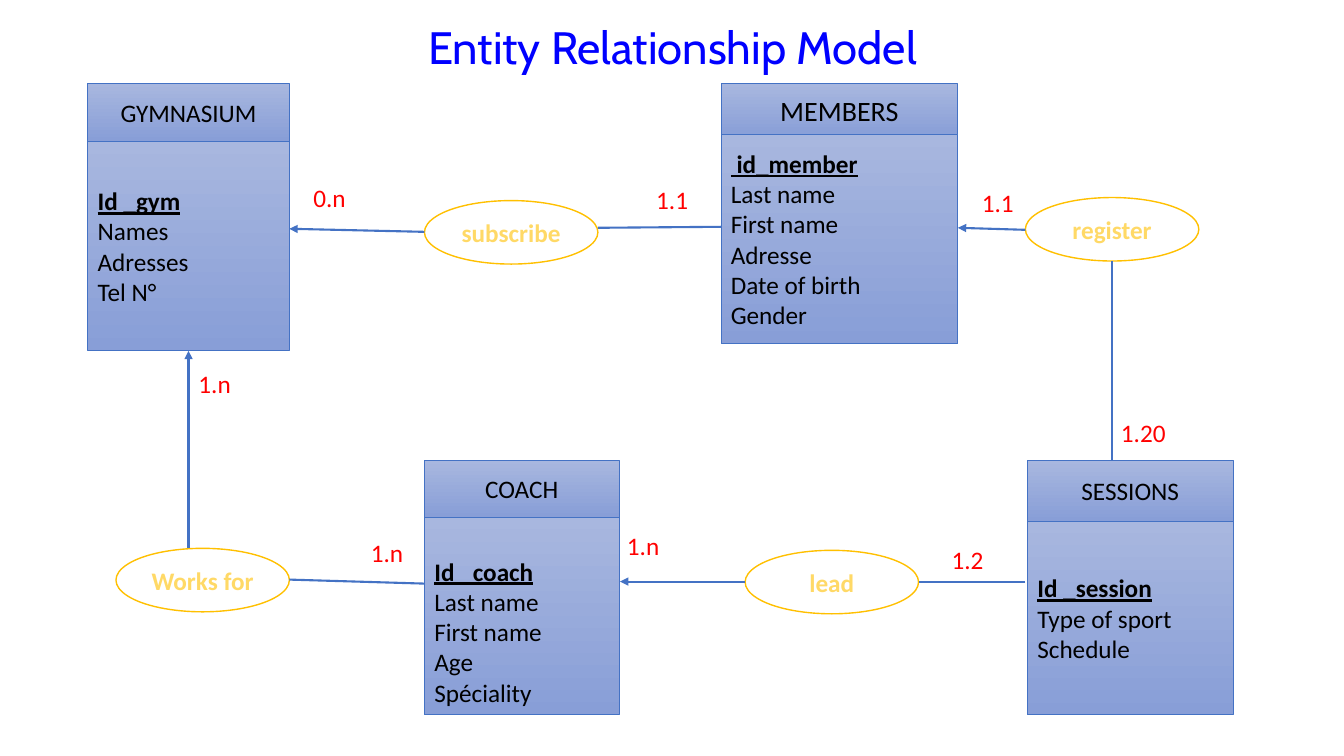
"""Build the gym entity relationship diagram slide."""
from lxml.etree import SubElement
from pptx import Presentation
from pptx.dml.color import RGBColor
from pptx.enum.shapes import MSO_CONNECTOR as CONN, MSO_SHAPE as SHAPE
from pptx.enum.text import MSO_ANCHOR as ANCHOR, MSO_AUTO_SIZE as FIT, PP_ALIGN as ALIGN
from pptx.oxml.ns import qn
from pptx.util import Pt

PX = 9144
BLUE = RGBColor(0x44, 0x72, 0xC4)
TOP_BLUE = RGBColor(0xA8, 0xB7, 0xDF)
BOTTOM_BLUE = RGBColor(0x88, 0x9E, 0xD7)
TITLE_BLUE = RGBColor(0x00, 0x00, 0xFF)
GOLD = RGBColor(0xFF, 0xC0, 0x00)
PALE_GOLD = RGBColor(0xFF, 0xD9, 0x66)
RED = RGBColor(0xFF, 0x00, 0x00)
WHITE = RGBColor(0xFF, 0xFF, 0xFF)
BLACK = RGBColor(0x00, 0x00, 0x00)

ENTITIES = [
    ("GYMNASIUM", 18, (87, 83, 200, 57), (140, 208), 5,
     ["Id _gym", "Names", "Adresses", "Tel N°"]),
    ("MEMBERS", 20, (715, 83, 235, 53), (133, 208), 5,
     [" id_member", "Last name", "First name", "Adresse", "Date of birth", "Gender"]),
    ("COACH", 18, (421, 457, 193, 56), (513, 196), 36,
     ["Id _coach", "Last name", "First name", "Age", "Spéciality"]),
    ("SESSIONS", 18, (1019, 457, 204, 60), (517, 192), 5,
     ["Id _session", "Type of sport", "Schedule"]),
]
RELATIONS = [("subscribe", 421, 199), ("Works for", 115, 544),
             ("register", 1017, 196), ("lead", 739, 546)]
ARROWS = [(421, 230, 287, 227), (1017, 228, 950, 226), (739, 577, 615, 577)]
LINES = [(593, 226, 715, 225), (1103, 259, 1103, 457),
         (1017, 577, 911, 577), (287, 575, 421, 579)]
CARDINALITIES = [("0.n", 301, 176, 60), ("1.1", 641, 178, 60), ("1.1", 964, 181, 60),
                 ("1.2", 934, 535, 60), ("1.n", 612, 521, 60), ("1.n", 358, 528, 60),
                 ("1.n", 187, 361, 60), ("1.20", 1102, 409, 86)]


def emu(*lengths):
    """Turn px lengths into EMU."""
    return [n * PX for n in lengths]


def add_run(p, text, color, size=18, name="Calibri", bold=False, underline=False):
    """Add one formatted run to a paragraph."""
    r = p.add_run()
    r.text = text
    r.font.name, r.font.size = name, Pt(size)
    r.font.bold, r.font.underline = bold, underline
    r.font.color.rgb = color


def add_title(s, text):
    """Place and format the title placeholder."""
    sp = s.shapes.title
    sp.left, sp.top, sp.width, sp.height = emu(167, 19, 1000, 60)
    tf = sp.text_frame
    tf.auto_size, tf.vertical_anchor = FIT.NONE, ANCHOR.BOTTOM
    p = tf.paragraphs[0]
    p.alignment, p.line_spacing = ALIGN.CENTER, 0.9
    add_run(p, text, TITLE_BLUE, 32.4, "Cabin")


def add_outlined(s, kind, box, color, width):
    """Add a shape with a plain outline and middle-anchored text."""
    sp = s.shapes.add_shape(kind, *emu(*box))
    sp.shadow.inherit = False
    sp.line.color.rgb, sp.line.width = color, Pt(width)
    sp.text_frame.vertical_anchor = ANCHOR.MIDDLE
    return sp


def add_panel(s, box):
    """Add a rectangle with the blue gradient."""
    sp = add_outlined(s, SHAPE.RECTANGLE, box, BLUE, 0.5)
    sp.fill.gradient()
    sp.fill.gradient_angle = 270
    for stop, color in zip(sp.fill.gradient_stops, (TOP_BLUE, BOTTOM_BLUE)):
        stop.color.rgb = color
    return sp


def add_entity(s, name, size, head, body, inset, fields):
    """Add an entity's header and its field list, and return the list."""
    p = add_panel(s, head).text_frame.paragraphs[0]
    p.alignment = ALIGN.CENTER
    add_run(p, name, BLACK, size)
    left, _, width, _ = head
    top, height = body
    sp = add_panel(s, (left, top, width, height))
    tf = sp.text_frame
    tf.margin_top = inset * PX
    for i, field in enumerate(fields):
        p = tf.add_paragraph() if i else tf.paragraphs[0]
        p.alignment = ALIGN.LEFT
        add_run(p, field, BLACK, bold=i == 0, underline=i == 0)
    return sp


def add_relation(s, name, left, top):
    """Add a relationship ellipse."""
    sp = add_outlined(s, SHAPE.OVAL, (left, top, 172, 63), GOLD, 1)
    sp.fill.solid()
    sp.fill.fore_color.rgb = WHITE
    p = sp.text_frame.paragraphs[0]
    p.alignment = ALIGN.CENTER
    add_run(p, name, PALE_GOLD, bold=True)


def add_link(s, ends, arrow=False):
    """Add a straight connector, with an arrowhead at its end if asked."""
    cx = s.shapes.add_connector(CONN.STRAIGHT, *emu(*ends))
    cx.line.color.rgb, cx.line.width = BLUE, Pt(1.5)
    if arrow:
        SubElement(cx.line._get_or_add_ln(), qn("a:tailEnd"), type="triangle")
    SubElement(cx._element.spPr, qn("a:effectLst"))
    return cx


def add_cardinality(s, text, left, top, width):
    """Add a red cardinality label."""
    tf = s.shapes.add_textbox(*emu(left, top, width, 40)).text_frame
    tf.word_wrap, tf.auto_size = True, FIT.SHAPE_TO_FIT_TEXT
    add_run(tf.paragraphs[0], text, RED)


def main():
    """Build and save the slide."""
    prs = Presentation()
    prs.slide_width, prs.slide_height = emu(1333, 750)
    s = prs.slides.add_slide(prs.slide_layouts[5])
    add_title(s, "Entity Relationship Model")
    bodies = {entity[0]: add_entity(s, *entity) for entity in ENTITIES}
    for relation in RELATIONS:
        add_relation(s, *relation)
    for ends in ARROWS:
        add_link(s, ends, arrow=True)
    works_for = add_link(s, (187, 544, 187, 348), arrow=True)
    works_for.end_connect(bodies["GYMNASIUM"], 2)
    for ends in LINES:
        add_link(s, ends)
    for cardinality in CARDINALITIES:
        add_cardinality(s, *cardinality)
    prs.save("out.pptx")


if __name__ == "__main__":
    main()
